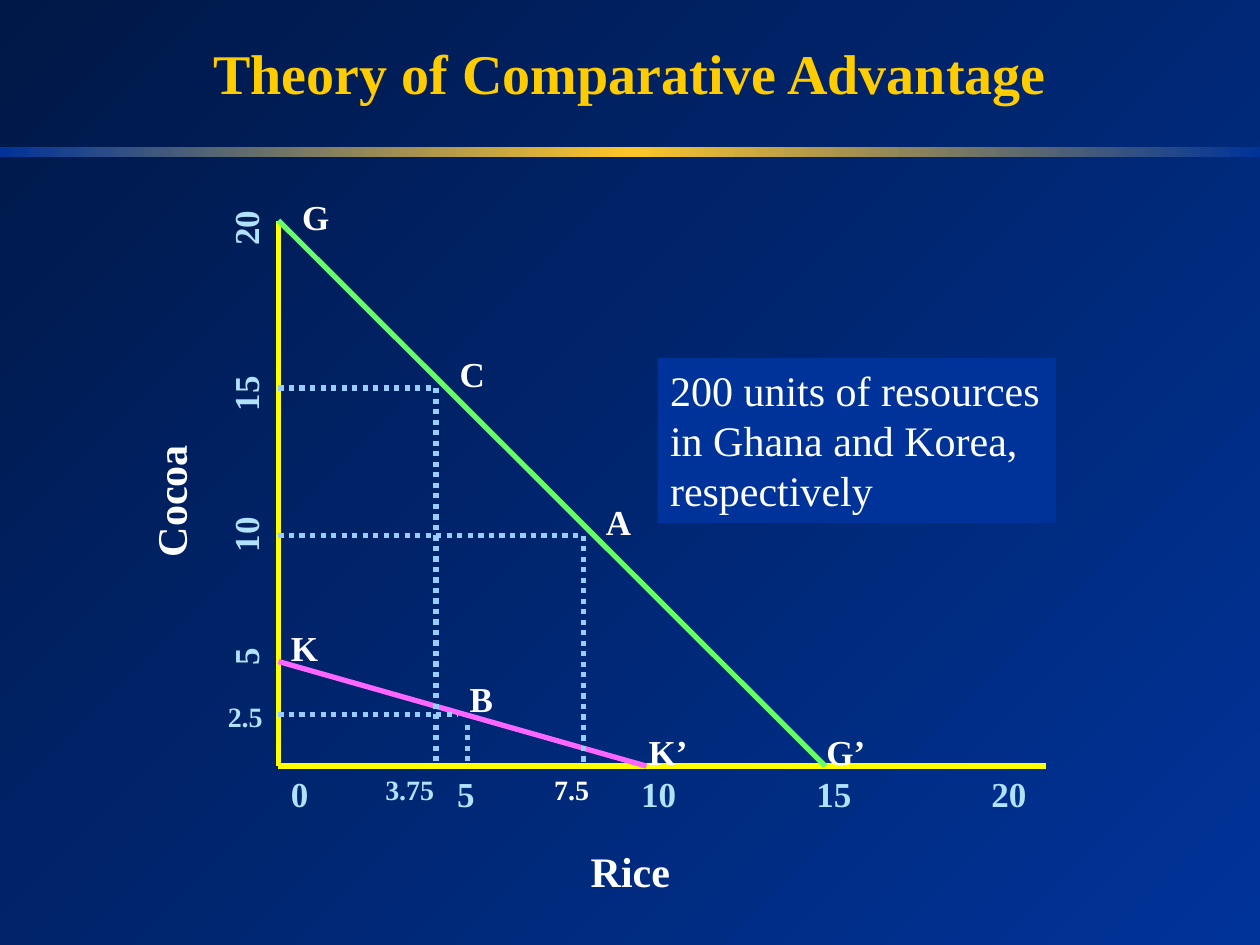
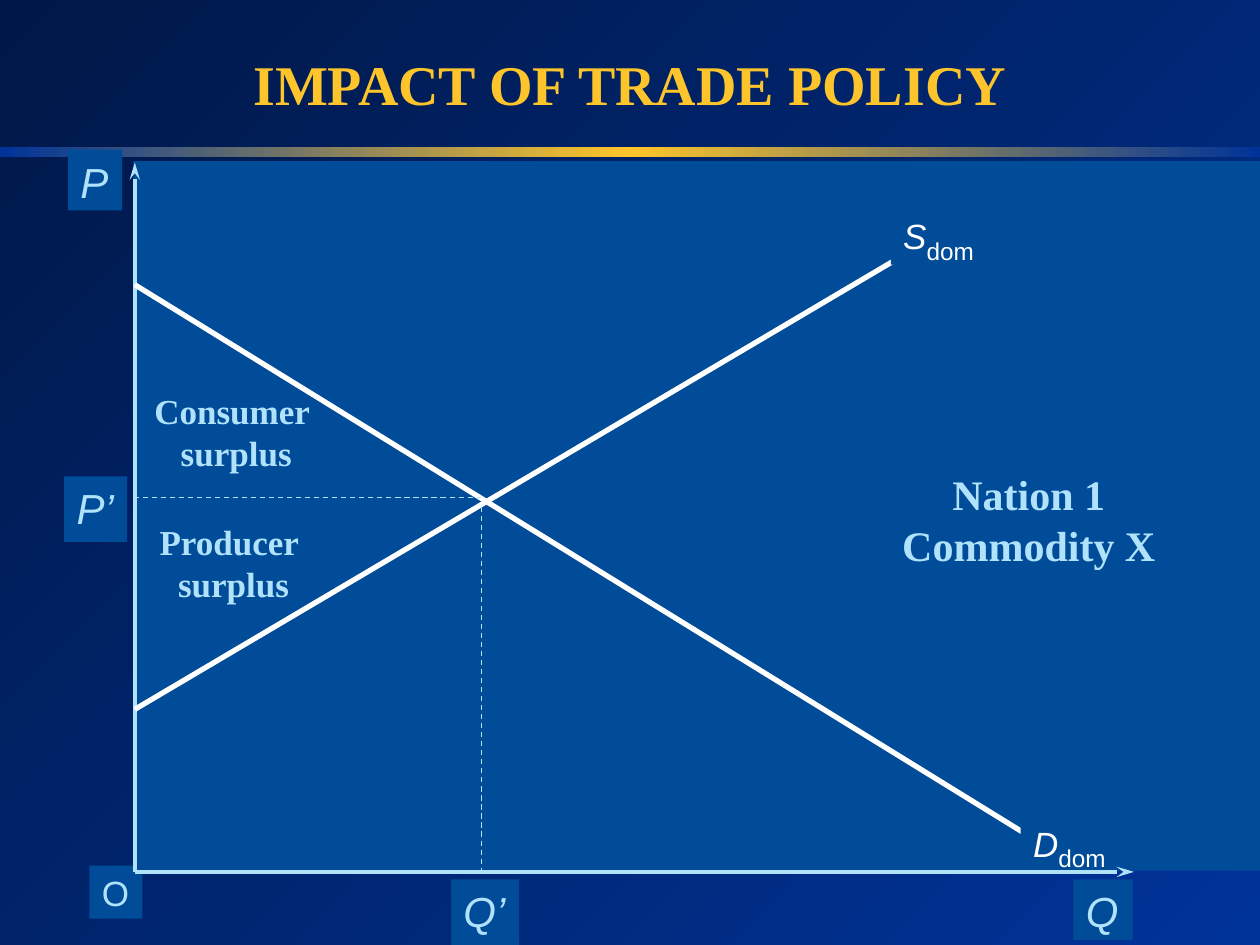
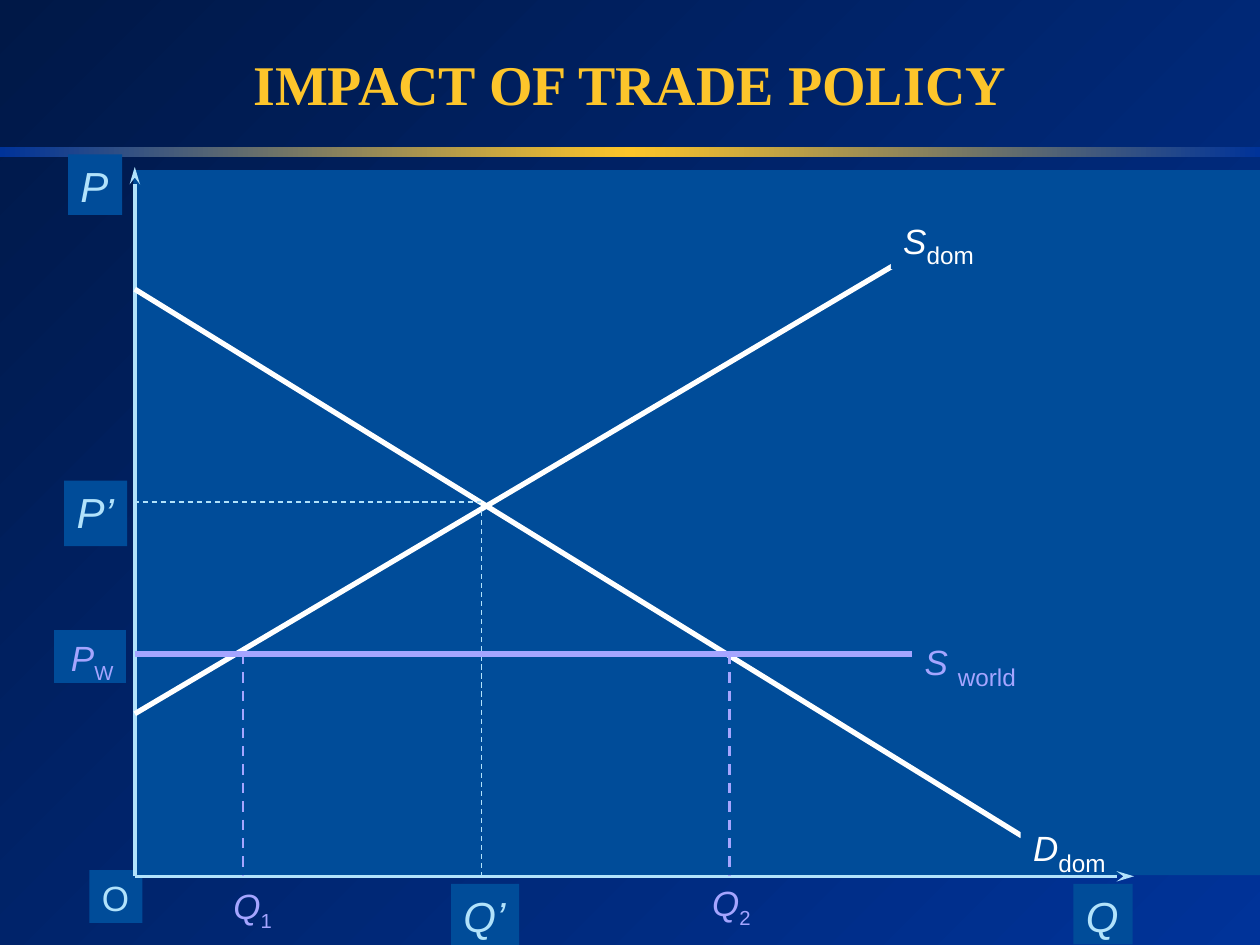
"""Build three trade theory slides with diagrams on a shared gradient master."""
import copy

import lxml.etree
import pptx
import pptx.dml.color
import pptx.enum.dml
import pptx.enum.shapes
import pptx.enum.text
import pptx.oxml.ns
import pptx.util

RGBColor = pptx.dml.color.RGBColor
NIGHT = RGBColor(0x00, 0x18, 0x47)
ROYAL = RGBColor(0x00, 0x33, 0x99)
AMBER = RGBColor(0xFD, 0xC5, 0x29)
GOLD = RGBColor(0xFF, 0xCC, 0x00)
TITLE_AMBER = RGBColor(0xFD, 0xC5, 0x2B)
PANEL = RGBColor(0x00, 0x4C, 0x99)
ICE = RGBColor(0xB1, 0xE2, 0xFB)
WHITE = RGBColor(0xFF, 0xFF, 0xFF)
YELLOW = RGBColor(0xFF, 0xFF, 0x00)
GREEN = RGBColor(0x66, 0xFF, 0x66)
PINK = RGBColor(0xFF, 0x66, 0xFF)
SKY = RGBColor(0x99, 0xCC, 0xFF)
LILAC = RGBColor(0xA5, 0xA5, 0xFF)

SERIF, SANS = "Times New Roman", "Arial"
COLUMNS, ROWS = 100, 75
TITLE_ONLY = 5
LEFT, CENTER, RIGHT = (
    pptx.enum.text.PP_ALIGN.LEFT,
    pptx.enum.text.PP_ALIGN.CENTER,
    pptx.enum.text.PP_ALIGN.RIGHT,
)
DOT = pptx.enum.dml.MSO_LINE.ROUND_DOT
DASH = pptx.enum.dml.MSO_LINE.DASH
RECTANGLE = pptx.enum.shapes.MSO_SHAPE.RECTANGLE
AUTO_SIZE = pptx.enum.text.MSO_AUTO_SIZE
ANCHOR = pptx.enum.text.MSO_ANCHOR


def add_xml(parent, tag, **attributes):
    return lxml.etree.SubElement(parent, pptx.oxml.ns.qn(tag), **attributes)


def blend(fill, colors, angle):
    fill.gradient()
    fill.gradient_angle = angle
    stop_list = fill.gradient_stops[0]._gs.getparent()
    while len(stop_list) < len(colors):
        stop_list.append(copy.deepcopy(stop_list[0]))
    for index, (stop, color) in enumerate(zip(fill.gradient_stops, colors)):
        stop.color.rgb = color
        stop.position = index / (len(colors) - 1)


def write(frame, text, *, size=20, color=WHITE, font=SERIF, bold=False, italic=False,
          align=LEFT, sub="", sub_size=None, tabs=(), wrap=True, anchor=ANCHOR.TOP,
          auto_size=AUTO_SIZE.SHAPE_TO_FIT_TEXT):
    frame.word_wrap = wrap
    frame.vertical_anchor = anchor
    frame.auto_size = auto_size
    for index, line in enumerate(text.split("\n")):
        paragraph = frame.add_paragraph() if index else frame.paragraphs[0]
        paragraph.alignment = align
        if tabs:
            tab_list = add_xml(paragraph._p.get_or_add_pPr(), "a:tabLst")
            for inches in tabs:
                add_xml(tab_list, "a:tab", pos=str(pptx.util.Inches(inches)), algn="l")
        pieces = [(line, size, italic)]
        if sub:
            pieces.append((sub, sub_size or size, False))
        for piece, points, slanted in pieces:
            run = paragraph.add_run()
            run.text = piece
            run.font.name = font
            run.font.size = pptx.util.Pt(points)
            run.font.bold = bold
            run.font.italic = slanted
            run.font.color.rgb = color
            if piece == sub:
                run._r.get_or_add_rPr().set("baseline", "-25000")


class Deck:
    def __init__(self):
        self.show = pptx.Presentation()
        self.show.slide_width = pptx.util.Inches(10)
        self.show.slide_height = pptx.util.Inches(7.5)
        self.slide = None
        blend(self.show.slide_master.background.fill, [NIGHT, ROYAL], 315)

    def x(self, column):
        return round(self.show.slide_width * column / COLUMNS)

    def y(self, row):
        return round(self.show.slide_height * row / ROWS)

    def place(self, left, top, width, height):
        return self.x(left), self.y(top), self.x(width), self.y(height)

    def open_slide(self, title, top, height, color):
        self.slide = self.show.slides.add_slide(self.show.slide_layouts[TITLE_ONLY])
        heading = self.slide.shapes.title
        heading.left, heading.top, heading.width, heading.height = self.place(
            0, top, COLUMNS, height)
        write(heading.text_frame, title, size=32, color=color, bold=True, align=CENTER,
              anchor=ANCHOR.MIDDLE, auto_size=AUTO_SIZE.NONE)

    def rectangle(self, at, fill=PANEL):
        shape = self.slide.shapes.add_shape(RECTANGLE, *self.place(*at))
        shape.shadow.inherit = False
        shape.line.fill.background()
        shape.fill.solid()
        shape.fill.fore_color.rgb = fill
        return shape

    def master_band(self):
        band = self.rectangle((0, 11.7, COLUMNS, 0.8))
        blend(band.fill, [ROYAL, AMBER, ROYAL], 0)
        self.show.slide_master.shapes._spTree.append(band._element)

    def label(self, text, at, fill=None, rotation=0, **style):
        if fill is None:
            box = self.slide.shapes.add_textbox(*self.place(*at))
        else:
            box = self.rectangle(at, fill)
        box.rotation = rotation
        write(box.text_frame, text, **style)
        return box

    def symbol(self, text, at, fill=PANEL, **style):
        style = {"font": SANS, "color": ICE, "italic": True, "wrap": False, **style}
        return self.label(text, at, fill, **style)

    def line(self, start, end, color, width=3, dash=None, arrow=None):
        connector = self.slide.shapes.add_connector(
            pptx.enum.shapes.MSO_CONNECTOR.STRAIGHT,
            self.x(start[0]), self.y(start[1]), self.x(end[0]), self.y(end[1]))
        connector.line.color.rgb = color
        connector.line.width = pptx.util.Pt(width)
        if dash:
            connector.line.dash_style = dash
        if arrow:
            add_xml(connector.line._get_or_add_ln(), arrow, type="stealth", len="lg")
        add_xml(connector._element.spPr, "a:effectLst")
        return connector


def comparative_advantage(deck):
    deck.open_slide("Theory of Comparative Advantage", 1.6, 8.3, GOLD)
    deck.master_band()
    axis_x, axis_y, peak = 22.1, 60.8, 17.5
    origin = (axis_x, axis_y)
    deck.line((axis_x, peak), origin, YELLOW)
    deck.line(origin, (83, axis_y), YELLOW)
    deck.label("0\t5\t10\t15\t20", (axis_x, axis_y, 62.5, 4.3), color=ICE, bold=True,
               tabs=(1.32, 2.78, 4.17, 5.56))
    deck.label("\t5\t10\t15\t20", (-11.8, 31.5, 62.5, 4.3), rotation=270, color=ICE,
               bold=True, tabs=(1.11, 2.01, 3.13, 4.44))
    deck.label("Cocoa", (6.5, 35.7, 14, 5), rotation=270, size=24, bold=True)
    deck.label("Rice", (45.9, 66.6, 18.3, 5), size=24, bold=True)
    deck.line((axis_x, peak), (65.5, axis_y), GREEN)
    deck.line((axis_x, 52.5), (51.3, axis_y), PINK)
    for column, row in ((34.6, 30.8), (46.3, 42.5)):
        deck.line((axis_x, row), (column, row), SKY, dash=DOT)
        deck.line((column, row), (column, axis_y), SKY, dash=DOT)
    deck.line((axis_x, 56.7), (36.3, 56.7), SKY, dash=DOT)
    deck.line((37.1, 57.5), (37.1, axis_y), SKY, dash=DOT)
    for value, left, top, color in (("3.75", 29.6, axis_y, ICE), ("7.5", 43, axis_y, WHITE),
                                    ("2.5", 17.1, 55, ICE)):
        deck.label(value, (left, top, 6.7, 3.7), size=16, color=color, bold=True)
    for point, left, top, width in (
            ("G", 23, 15, 11.3), ("C", 35.5, 27.5, 4.2), ("A", 47.1, 39.2, 4.2),
            ("G’", 64.6, 57.5, 6.7), ("B", 36.3, 53.3, 5), ("K", axis_x, 49.2, 9.7),
            ("K’", 50.5, 57.5, 8.8)):
        deck.label(point, (left, top, width, 4.3), bold=True)
    deck.label("200 units of resources in Ghana and Korea, respectively",
               (52.2, 28.4, 31.6, 13.1), fill=ROYAL, size=24)


def domestic_market(deck, panel_top, drop=0):
    deck.open_slide("IMPACT OF TRADE POLICY", 3.5, 6.2, TITLE_AMBER)
    axis_x, axis_y = 10.7, 69.2 + drop
    deck.rectangle((10.6, panel_top, 89.4, 69.1 + drop - panel_top))
    deck.symbol("O", (7.1, 68.7 + drop, 4.2, 4.2), italic=False)
    for name, left, top, width, height in (
            ("P", 5.4, 11.9, 4.3, 4.8), ("Q", 85.2, 69.8, 4.7, 4.8),
            ("Q’", 35.8, 69.8, 5.4, 5.2), ("P’", 5.1, 37.8, 5, 5.2)):
        deck.symbol(name, (left, top + drop, width, height), size=24)
    deck.line((axis_x, 12.9 + drop), (axis_x, axis_y), ICE, 2, arrow="a:headEnd")
    for name, at, start, end in (
            ("S", (70.7, 16 + drop, 7.9, 5), 56.3, (71.8, 20.2 + drop)),
            ("D", (81, 64.2 + drop, 8.5, 4.2), 22.6, (81.1, 66 + drop))):
        deck.line((axis_x, start + drop), end, WHITE)
        deck.symbol(name, at, color=WHITE, sub="dom", sub_size=24)
    deck.line((axis_x, axis_y), (90, axis_y), ICE, 2, arrow="a:tailEnd")
    deck.line((10.6, 39.5 + drop), (38.2, 39.5 + drop), ICE, 0.75, DASH)
    deck.line((38.2, 40.2 + drop), (38.2, axis_y), ICE, 0.75, DASH)


def closed_economy(deck):
    domestic_market(deck, panel_top=12.8)
    for text, at, size in (("Nation 1\nCommodity X", (70.5, 36.7, 22.3, 9.1), 24),
                           ("Consumer \nsurplus", (11.2, 30.4, 15.1, 7.7), 20),
                           ("Producer\n surplus", (11.6, 40.8, 13.2, 7.7), 20)):
        deck.label(text, at, size=size, color=ICE, bold=True, align=CENTER, wrap=False)


def open_economy(deck):
    domestic_market(deck, panel_top=13.5, drop=0.35)
    world_price = 51.9
    world_supply = deck.symbol("S ", (72.4, world_price - 2.1, 10.1, 4.2), color=LILAC,
                               sub="world", sub_size=24)
    supply_line = deck.line((10.7, world_price), (72.4, world_price), LILAC)
    supply_line.end_connect(world_supply, 1)
    deck.symbol("P", (4.3, 50, 5.7, 4.2), color=LILAC, sub="W", align=RIGHT)
    for number, column, left, top in (("1", 19.3, 17.1, 69.7), ("2", 57.9, 55.1, 69.5)):
        deck.line((column, world_price), (column, 69.5), LILAC, 1.5, DASH)
        deck.symbol("Q", (left, top, 5.9, 4.2), fill=None, color=LILAC, sub=number,
                    align=CENTER)


def main():
    deck = Deck()
    comparative_advantage(deck)
    closed_economy(deck)
    open_economy(deck)
    deck.show.save("out.pptx")


if __name__ == "__main__":
    main()
